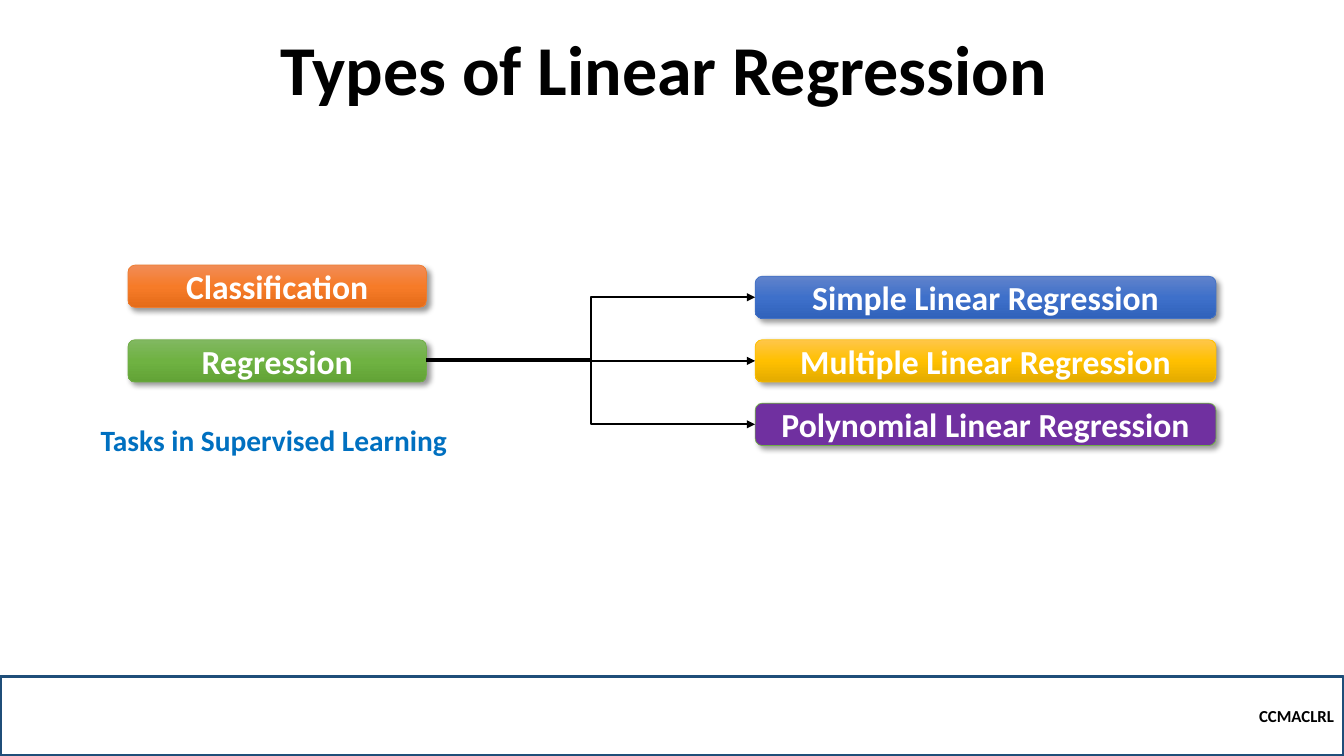
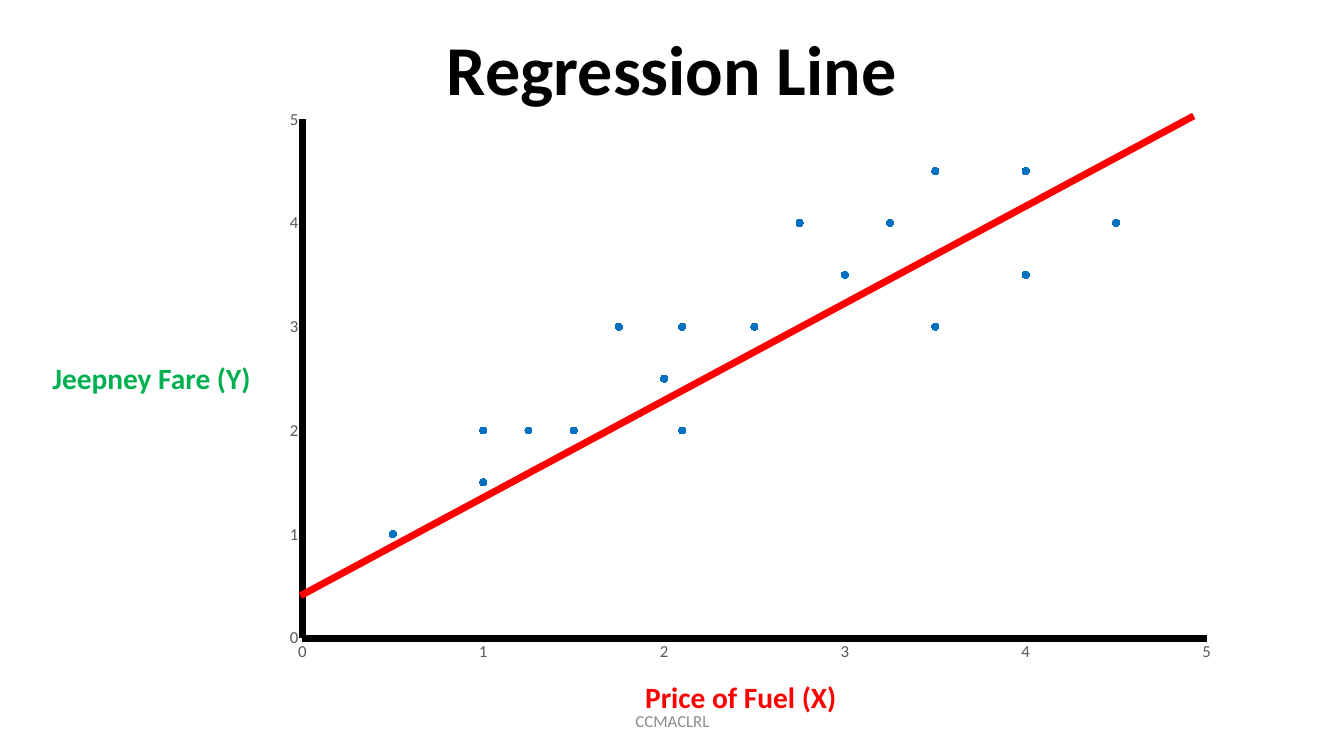
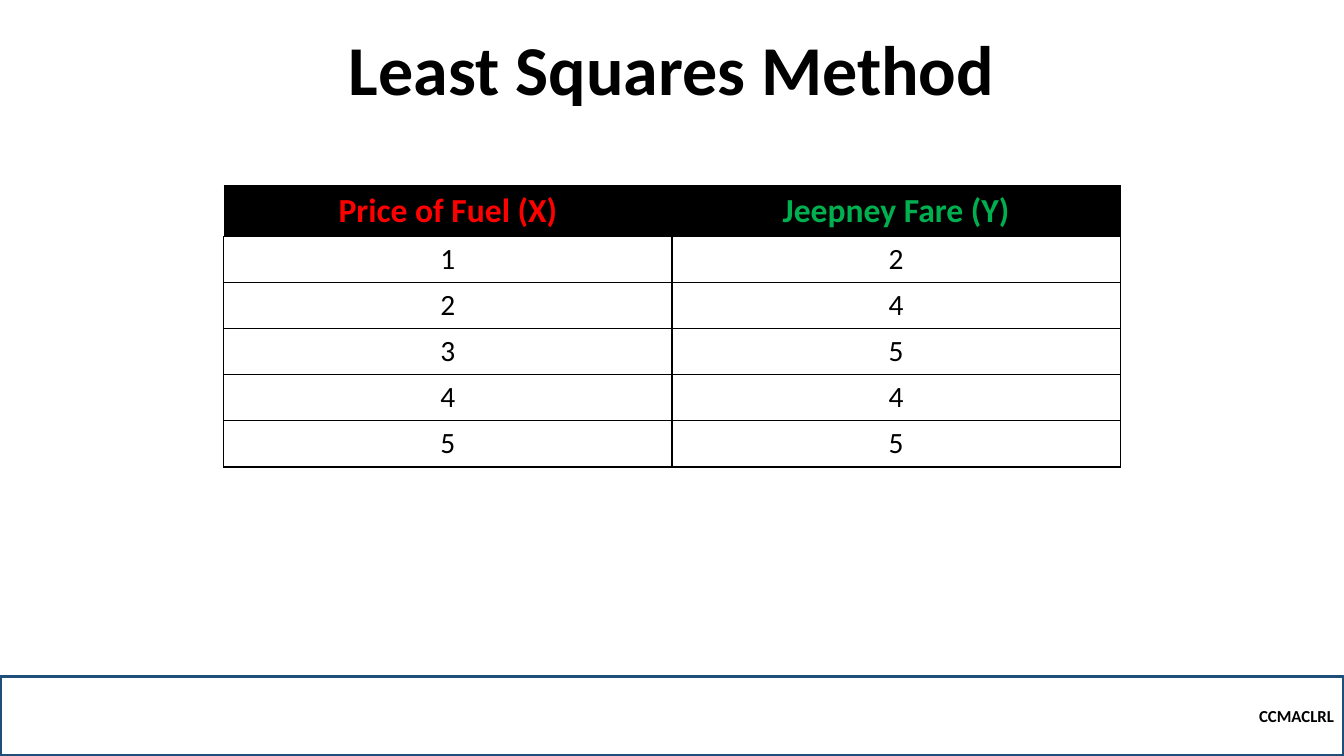
"""Build three slides about linear regression."""
import pptx
import pptx.chart.data
import pptx.dml.color
import pptx.enum.chart
import pptx.enum.shapes
import pptx.enum.text
import pptx.oxml.ns
import pptx.util
from lxml import etree

Inches = pptx.util.Inches
Pt = pptx.util.Pt
qn = pptx.oxml.ns.qn
Align = pptx.enum.text.PP_ALIGN
Anchor = pptx.enum.text.MSO_ANCHOR
AutoSize = pptx.enum.text.MSO_AUTO_SIZE
Shape = pptx.enum.shapes.MSO_SHAPE
Connector = pptx.enum.shapes.MSO_CONNECTOR

FONT = "Calibri"
BLACK, WHITE, RED, GREEN, BLUE = "000000", "FFFFFF", "FF0000", "00B050", "0070C0"
NAVY, TICK_GRAY, FOOTER_GRAY = "1F4E79", "595959", "8C8C8C"
COURSE = "CCMACLRL"
PRICE, FARE = "Price of Fuel (X)", "Jeepney Fare (Y)"

TITLE = {"size": Pt(50), "bold": True}
BOX_LABEL = {"size": Pt(24), "bold": True}
CAPTION = {"size": Pt(21), "bold": True}
BODY = {"size": Pt(21), "bold": False}
BAND_LABEL = {"size": Pt(12), "bold": True}
SMALL = {"size": Pt(12), "bold": False}

TASKS = [
    ("Classification", ["F18C57", "F67B28", "E56C19"], "ED7D31"),
    ("Regression", ["81B861", "6FB242", "62A336"], "70AD47"),
]
TYPES = [
    ("Simple Linear Regression", ["6183CB", "3E70CA", "3062BB"], "4472C4"),
    ("Multiple Linear Regression", ["FFC64B", "FFC000", "E3AB00"], "FFC000"),
    ("Polynomial Linear Regression", ["7030A0"], "70AD47"),
]
POINTS = [
    (0.5, 1), (1, 1.5), (1, 2), (1.25, 2), (1.5, 2), (1.75, 3),
    (2, 2.5), (2.5, 3), (2.75, 4), (3, 3.5), (3.25, 4), (3.5, 4.5),
    (2.1, 3), (2.1, 2), (4, 3.5), (3.5, 3), (4.5, 4), (4, 4.5),
]
ROWS = [(1, 2), (2, 4), (3, 5), (4, 4), (5, 5)]


def rgb(color):
    return pptx.dml.color.RGBColor.from_string(color)


def apply(target, values):
    for name, value in values.items():
        setattr(target, name, value)


def set_font(font, style, color):
    apply(font, {"name": FONT, **style})
    font.color.rgb = rgb(color)


def set_line(line, color, width):
    line.color.rgb = rgb(color)
    line.width = Pt(width)


def add_node(parent, tag, **attributes):
    return etree.SubElement(parent, qn(tag), attributes)


def write(frame, text, style, color, align=Align.LEFT, anchor=Anchor.TOP):
    frame.vertical_anchor = anchor
    para = frame.paragraphs[0]
    para.alignment = align
    span = para.add_run()
    span.text = text
    set_font(span.font, style, color)
    return para


def add_text(page, place, text, style, color, align=Align.LEFT, anchor=Anchor.TOP,
             wrap=True, fit=AutoSize.NONE):
    box = page.shapes.add_textbox(*map(Inches, place))
    apply(box.text_frame, {"word_wrap": wrap, "auto_size": fit})
    return write(box.text_frame, text, style, color, align, anchor)


def add_caption(page, place, text, color, wrap=False):
    add_text(page, place, text, CAPTION, color, wrap=wrap, fit=AutoSize.SHAPE_TO_FIT_TEXT)


def add_page(deck, title):
    page = deck.slides.add_slide(deck.slide_layouts[6])
    para = add_text(page, (0.5, 0.36, 12.33, 0.79), title, TITLE, BLACK,
                    Align.CENTER, Anchor.BOTTOM)
    para.line_spacing = 0.9
    return page


def add_band(page):
    band = page.shapes.add_shape(Shape.RECTANGLE, *map(Inches, (0, 6.71, 13.33, 0.79)))
    band.shadow.inherit = False
    band.fill.background()
    set_line(band.line, NAVY, 2.25)
    write(band.text_frame, COURSE, BAND_LABEL, BLACK, Align.RIGHT, Anchor.MIDDLE)


def fill_gradient(box, colors):
    box.fill.gradient()
    box.fill.gradient_angle = 270
    stops = box.element.spPr.find(".//" + qn("a:gsLst"))
    stops.clear()
    for index, color in enumerate(colors):
        position = 100000 * index // (len(colors) - 1)
        add_node(add_node(stops, "a:gs", pos=str(position)), "a:srgbClr", val=color)


def add_shadow(box):
    box.shadow.inherit = False
    effects = box.element.spPr.find(qn("a:effectLst"))
    shadow = add_node(effects, "a:outerShdw", blurRad=str(Pt(4)), dist=str(Pt(3)),
                      dir="2700000", algn="tl", rotWithShape="0")
    add_node(add_node(shadow, "a:srgbClr", val=BLACK), "a:alpha", val="40000")


def add_stack(page, left, top, width, step, entries):
    boxes = []
    for index, (text, colors, outline) in enumerate(entries):
        place = (left, top + index * step, width, 0.42)
        box = page.shapes.add_shape(Shape.ROUNDED_RECTANGLE, *map(Inches, place))
        if len(colors) > 1:
            fill_gradient(box, colors)
        else:
            box.fill.solid()
            box.fill.fore_color.rgb = rgb(colors[0])
        set_line(box.line, outline, 0.5)
        add_shadow(box)
        write(box.text_frame, text, BOX_LABEL, WHITE, Align.CENTER, Anchor.MIDDLE)
        boxes.append(box)
    return boxes


def add_line(page, kind, start, end, color, width):
    line = page.shapes.add_connector(kind, *map(Inches, (*start, *end)))
    set_line(line.line, color, width)
    add_node(line.element.spPr, "a:effectLst")
    return line


def add_branch(page, start, target, source=None):
    branch = add_line(page, Connector.ELBOW, start, start, BLACK, 1.5)
    add_node(branch.line._get_or_add_ln(), "a:tailEnd", type="triangle")
    if source is not None:
        branch.begin_connect(source, 3)
    branch.end_connect(target, 1)


def add_scatter(page):
    data = pptx.chart.data.XyChartData()
    series_data = data.add_series("Series 1")
    for x, y in POINTS:
        series_data.add_data_point(x, y)
    kind = pptx.enum.chart.XL_CHART_TYPE.XY_SCATTER
    chart = page.shapes.add_chart(kind, *map(Inches, (2.62, 1.08, 9.49, 5.72)), data).chart
    apply(chart, {"has_legend": False, "has_title": False})
    set_font(chart.font, {"size": Pt(10)}, BLACK)
    chart.plots[0].vary_by_categories = False
    none = pptx.enum.chart.XL_TICK_MARK.NONE
    for axis in (chart.category_axis, chart.value_axis):
        apply(axis, {"minimum_scale": 0, "maximum_scale": 5, "major_unit": 1,
                     "has_major_gridlines": False, "major_tick_mark": none,
                     "minor_tick_mark": none})
        set_line(axis.format.line, BLACK, 5)
        set_font(axis.tick_labels.font, SMALL, TICK_GRAY)
    series = chart.plots[0].series[0]
    series.smooth = False
    series.format.line.fill.background()
    apply(series.marker, {"style": pptx.enum.chart.XL_MARKER_STYLE.CIRCLE, "size": 5})
    series.marker.format.fill.solid()
    series.marker.format.fill.fore_color.rgb = rgb(BLUE)
    set_line(series.marker.format.line, BLUE, 0.75)
    set_plot_layout(chart)


def set_plot_layout(chart):
    area = chart.element.find(".//" + qn("c:plotArea"))
    for old in area.findall(qn("c:layout")):
        area.remove(old)
    layout = area.makeelement(qn("c:layout"))
    area.insert(0, layout)
    manual = add_node(layout, "c:manualLayout")
    values = {"layoutTarget": "inner", "xMode": "edge", "yMode": "edge",
              "x": 0.04, "y": 0.018, "w": 0.945, "h": 0.9}
    for name, value in values.items():
        add_node(manual, "c:" + name, val=str(value))


def set_borders(cell, widths):
    properties = cell._tc.get_or_add_tcPr()
    for side, width in widths.items():
        border = add_node(properties, "a:ln" + side, w=str(Pt(width)))
        add_node(add_node(border, "a:solidFill"), "a:srgbClr", val=BLACK)


def add_data_table(page):
    place = (2.22, 1.84, 8.89, 2.46)
    table = page.shapes.add_table(len(ROWS) + 1, 2, *map(Inches, place)).table
    for row_index, values in enumerate([(PRICE, FARE), *ROWS]):
        header = row_index == 0
        for column, value in enumerate(values):
            cell = table.cell(row_index, column)
            set_borders(cell, {
                "L": 0.5 if header and column == 0 else 1,
                "R": 0.5 if header and column == 1 else 1,
                "T": 0.5 if header else 1,
                "B": 1,
            })
            if header:
                cell.fill.solid()
                cell.fill.fore_color.rgb = rgb(BLACK)
            else:
                cell.fill.background()
            color = (RED, GREEN)[column] if header else BLACK
            write(cell.text_frame, str(value), BOX_LABEL if header else BODY, color,
                  Align.CENTER)


def build_types(deck):
    page = add_page(deck, "Types of Linear Regression ")
    add_band(page)
    regression = add_stack(page, 1.27, 2.63, 2.96, 0.74, TASKS)[1]
    simple, multiple, polynomial = add_stack(page, 7.49, 2.74, 4.57, 0.63, TYPES)
    add_branch(page, (4.23, 3.58), simple, regression)
    add_branch(page, (4.23, 3.56), multiple)
    add_branch(page, (4.23, 3.58), polynomial, regression)
    add_caption(page, (0.9, 4.14, 3.7, 0.45), "Tasks in Supervised Learning", BLUE, wrap=True)


def build_line(deck):
    page = add_page(deck, "Regression Line")
    add_caption(page, (6.3, 6.69, 2.12, 0.45), PRICE, RED)
    add_caption(page, (0.42, 3.52, 2.19, 0.45), FARE, GREEN)
    add_scatter(page)
    add_line(page, Connector.STRAIGHT, (2.98, 5.91), (11.84, 1.15), RED, 5)
    add_text(page, (4.42, 6.95, 4.5, 0.4), COURSE, SMALL, FOOTER_GRAY,
             Align.CENTER, Anchor.MIDDLE)


def build_method(deck):
    page = add_page(deck, "Least Squares Method")
    add_band(page)
    add_data_table(page)


def main():
    deck = pptx.Presentation()
    apply(deck, {"slide_width": Inches(13.33), "slide_height": Inches(7.5)})
    build_types(deck)
    build_line(deck)
    build_method(deck)
    deck.save("out.pptx")


if __name__ == "__main__":
    main()
